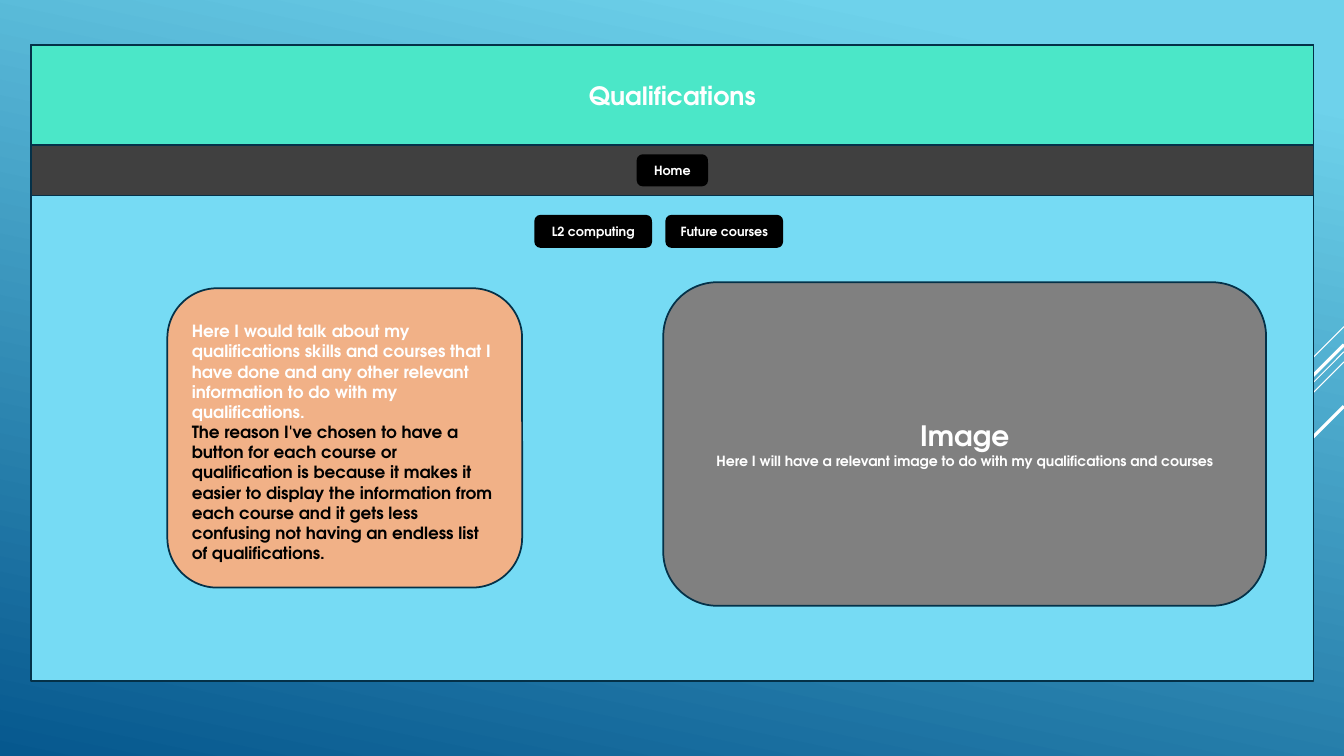
from lxml.etree import SubElement
from pptx import Presentation
from pptx.dml.color import RGBColor
from pptx.enum.shapes import MSO_CONNECTOR as Link, MSO_SHAPE as Kind
from pptx.enum.text import MSO_ANCHOR as Anchor, PP_ALIGN as Align
from pptx.oxml.ns import qn
from pptx.util import Inches, Pt

FONT = "TeX Gyre Adventor"
INK, WHITE, BLACK = "043148", "FFFFFF", "000000"
COLS, ROWS = 133.33, 75
CELL = Inches(0.1)


def cells(count):
    return round(count * CELL)


def tint(color, code):
    color.rgb = RGBColor.from_string(code)


def sub(box, left, top, wide, high):
    return box[0] + left, box[1] + top, wide, high


def paint(shape, fill, edge=INK):
    shape.fill.solid()
    tint(shape.fill.fore_color, fill)
    tint(shape.line.color, edge)
    shape.line.width = Pt(1.25)


def block(slide, box, fill, edge=INK, kind=Kind.RECTANGLE):
    shape = slide.shapes.add_shape(kind, *map(cells, box))
    shape.shadow.inherit = False
    paint(shape, fill, edge)
    return shape


def write(shape, lines, align=Align.CENTER, anchor=Anchor.MIDDLE):
    frame = shape.text_frame
    frame.word_wrap = True
    frame.vertical_anchor = anchor
    frame.text = "\n".join(text for text, size, code in lines)
    for para, (text, size, code) in zip(frame.paragraphs, lines):
        para.alignment = align
        font = para.font
        font.name, font.size, font.bold = FONT, Pt(size), True
        tint(font.color, code)


def backdrop(slide):
    fill = slide.background.fill
    fill.gradient()
    fill.gradient_angle = 258
    stops = ((0.1, "6ED2EB"), (1, "06588E"))
    for stop, (place, code) in zip(fill.gradient_stops, stops):
        stop.position = place
        tint(stop.color, code)


def rays(slide, box):
    right = box[0] + box[2]
    for top, run, width in (
        (32.4, 10, 0.75), (34.9, 32.6, 0.75), (35.9, 20.7, 0.75),
        (34.2, 19.1, 2.25), (40.3, 13.9, 2.25),
    ):
        ends = right, top, right - run, top + run
        ray = slide.shapes.add_connector(Link.STRAIGHT, *map(cells, ends))
        tint(ray.line.color, WHITE)
        ray.line.width = Pt(width)
        SubElement(ray.element.spPr, qn("a:effectLst"))


def header(slide, box):
    title = slide.shapes.title
    title.left, title.top, title.width, title.height = map(cells, box)
    paint(title, "4BE7C8")
    write(title, [("Qualifications", 18, WHITE)])
    slide.shapes.element.append(title.element)


def button(slide, box, label):
    shape = block(slide, box, BLACK, BLACK, Kind.ROUNDED_RECTANGLE)
    write(shape, [(label, 9, WHITE)])


def menu(slide, box):
    block(slide, box, "404040")
    wide, high = 6.9, 3
    spot = sub(box, (box[2] - wide) / 2, (box[3] - high) / 2, wide, high)
    button(slide, spot, "Home")


def courses(slide, box):
    gap = 1.5
    wide = (box[2] - gap) / 2
    for step, label in enumerate(("L2 computing", "Future courses")):
        spot = sub(box, step * (wide + gap), 0, wide, box[3])
        button(slide, spot, label)


def story(slide, box):
    card = block(slide, box, "F1B187", kind=Kind.ROUNDED_RECTANGLE)
    card.text_frame.margin_top = cells(1.8)
    write(card, [
        ("Here I would talk about my qualifications skills and courses "
         "that I have done and any other relevant information to do with "
         "my qualifications.", 12, WHITE),
        ("The reason I've chosen to have a button for each course or "
         "qualification is because it makes it easier to display the "
         "information from each course and it gets less confusing not "
         "having an endless list of qualifications.", 12, BLACK),
    ], Align.LEFT, Anchor.TOP)


def photo(slide, box):
    card = block(slide, box, "808080", kind=Kind.ROUNDED_RECTANGLE)
    write(card, [
        ("Image", 20, WHITE),
        ("Here I will have a relevant image to do with my qualifications "
         "and courses", 10, WHITE),
    ])


def site(slide, box):
    block(slide, box, "76DBF4")
    story(slide, sub(box, 13.5, 24.1, 35.2, 29.7))
    photo(slide, sub(box, 62.7, 23.5, 59.8, 32.1))
    header(slide, sub(box, 0, 0, box[2], 9.9))
    menu(slide, sub(box, 0, 9.9, box[2], 5))
    courses(slide, sub(box, 50, 16.9, 24.5, 3.1))


deck = Presentation()
deck.slide_width, deck.slide_height = cells(COLS), cells(ROWS)
page = deck.slides.add_slide(deck.slide_layouts[5])
backdrop(page)
rays(page, (0, 0, COLS, ROWS))
site(page, (3.1, 4.5, 127.2, 63.1))
deck.save("out.pptx")
